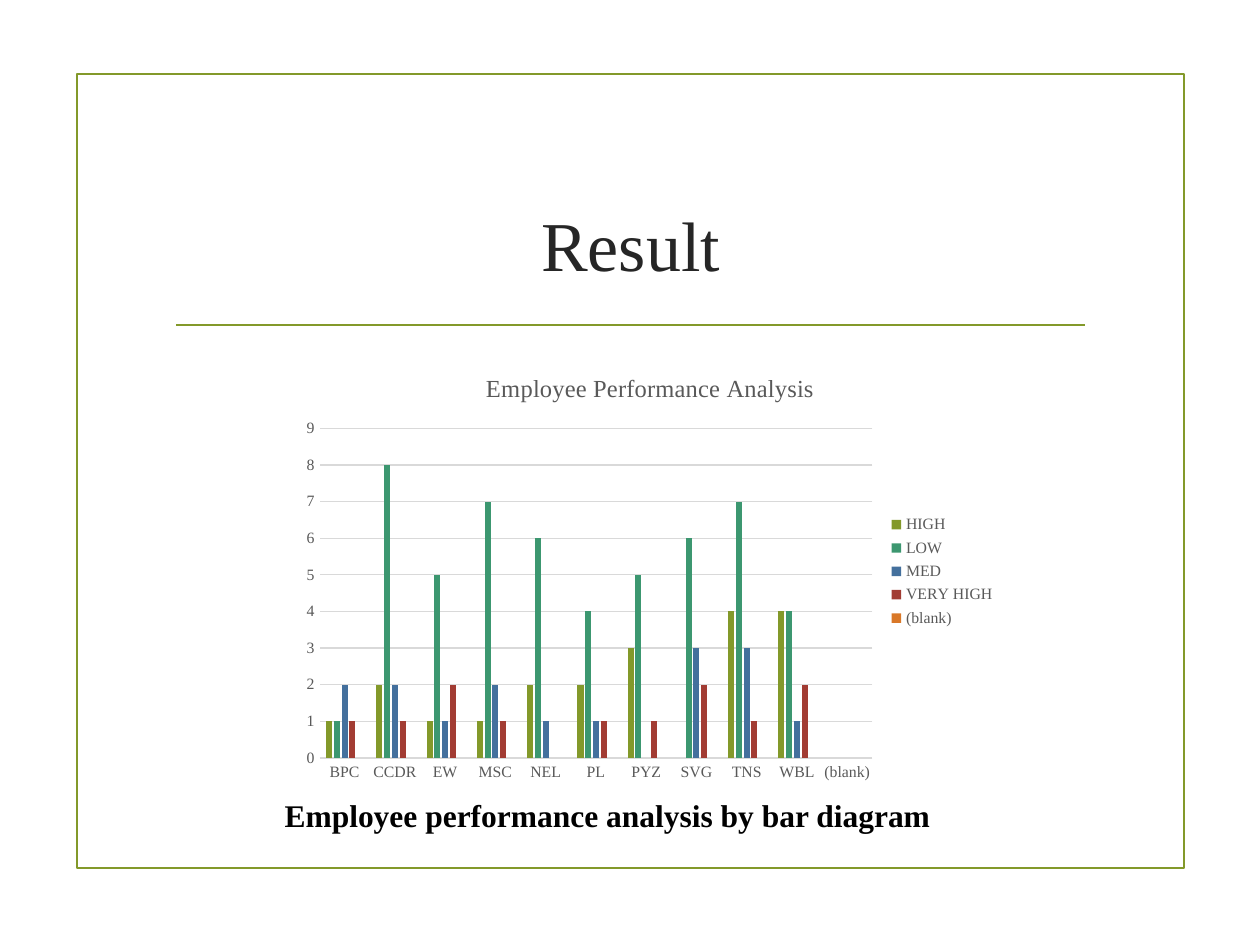
from dataclasses import dataclass
from typing import Optional

from lxml import etree
from pptx import Presentation
from pptx.chart.data import CategoryChartData
from pptx.dml.color import RGBColor
from pptx.enum import chart as ch, shapes, text
from pptx.oxml.ns import qn
from pptx.util import Inches, Pt


@dataclass(frozen=True)
class Theme:
    face: str = "Times New Roman"
    green: str = "83992A"
    dark: str = "262626"
    black: str = "000000"
    gray: str = "595959"
    grid: str = "D9D9D9"
    head: float = 40
    note: float = 18
    title: float = 14
    base: float = 10
    label: float = 9
    rule: float = 1.25
    thin: float = 0.75


@dataclass(frozen=True)
class Box:
    left: float
    top: float
    width: float
    height: float

    def lengths(self) -> tuple:
        return tuple(Inches(v) for v in (self.left, self.top, self.width, self.height))


@dataclass(frozen=True)
class Level:
    name: str
    color: str
    counts: tuple[Optional[int], ...]


THEME = Theme()
UNITS = ("BPC", "CCDR", "EW", "MSC", "NEL", "PL", "PYZ", "SVG", "TNS", "WBL", "(blank)")
LEVELS = (
    Level("HIGH", THEME.green, (1, 2, 1, 1, 2, 2, 3, None, 4, 4, None)),
    Level("LOW", "3C9770", (1, 8, 5, 7, 6, 4, 5, 6, 7, 4, None)),
    Level("MED", "44709D", (2, 2, 1, 2, 1, 1, None, 3, 3, 1, None)),
    Level("VERY HIGH", "A23C33", (1, 1, 2, 1, None, 1, 1, 2, 1, 2, None)),
    Level("(blank)", "D97828", (None,) * len(UNITS)),
)


def set_font(font, size: float, color: str, bold: bool = False) -> None:
    font.name = THEME.face
    font.size = Pt(size)
    font.bold = bold
    font.color.rgb = RGBColor.from_string(color)


def set_line(line, color: str, width: float) -> None:
    line.color.rgb = RGBColor.from_string(color)
    line.width = Pt(width)


def place(shape, box: Box) -> None:
    shape.left, shape.top, shape.width, shape.height = box.lengths()


def add_frame(slide, box: Box) -> None:
    frame = slide.shapes.add_shape(shapes.MSO_SHAPE.RECTANGLE, *box.lengths())
    frame.shadow.inherit = False
    frame.fill.background()
    set_line(frame.line, THEME.green, THEME.rule)


def add_rule(slide, left: float, right: float, top: float) -> None:
    ends = (Inches(v) for v in (left, top, right, top))
    rule = slide.shapes.add_connector(shapes.MSO_CONNECTOR.STRAIGHT, *ends)
    set_line(rule.line, THEME.green, THEME.rule)
    etree.SubElement(rule._element.spPr, qn("a:effectLst"))


def set_title(slide, words: str, box: Box) -> None:
    title = slide.shapes.title
    place(title, box)
    body = title.text_frame
    body.text = words
    body.vertical_anchor = text.MSO_ANCHOR.MIDDLE
    line = body.paragraphs[0]
    line.alignment = text.PP_ALIGN.CENTER
    set_font(line.runs[0].font, THEME.head, THEME.dark)


def add_note(slide, words: str, box: Box) -> None:
    body = slide.shapes.add_textbox(*box.lengths()).text_frame
    body.word_wrap = True
    body.auto_size = text.MSO_AUTO_SIZE.SHAPE_TO_FIT_TEXT
    body.text = words
    set_font(body.paragraphs[0].runs[0].font, THEME.note, THEME.black, bold=True)


def style_axis(axis) -> None:
    axis.major_tick_mark = axis.minor_tick_mark = ch.XL_TICK_MARK.NONE
    set_font(axis.tick_labels.font, THEME.label, THEME.gray)


def add_bars(slide, words: str, box: Box) -> None:
    data = CategoryChartData()
    data.categories = UNITS
    for level in LEVELS:
        data.add_series(level.name, level.counts)
    kind = ch.XL_CHART_TYPE.COLUMN_CLUSTERED
    chart = slide.shapes.add_chart(kind, *box.lengths(), data).chart
    set_font(chart.font, THEME.base, THEME.black)

    # Chart title
    chart.has_title = True
    head = chart.chart_title
    head.text_frame.text = words
    set_font(head.text_frame.paragraphs[0].runs[0].font, THEME.title, THEME.gray)

    # Bars
    plot = chart.plots[0]
    plot.gap_width, plot.overlap = 219, -27
    plot.vary_by_categories = False
    for series, level in zip(plot.series, LEVELS):
        series.format.fill.solid()
        series.format.fill.fore_color.rgb = RGBColor.from_string(level.color)

    # Axes
    across, up = chart.category_axis, chart.value_axis
    for axis in (across, up):
        style_axis(axis)
    set_line(across.format.line, THEME.grid, THEME.thin)
    up.format.line.fill.background()
    up.has_major_gridlines = True
    set_line(up.major_gridlines.format.line, THEME.grid, THEME.thin)

    # Legend
    chart.has_legend = True
    chart.legend.position = ch.XL_LEGEND_POSITION.RIGHT
    chart.legend.include_in_layout = False
    set_font(chart.legend.font, THEME.label, THEME.gray)


def main() -> None:
    deck = Presentation()
    deck.slide_width, deck.slide_height = Inches(10), Inches(7.5)
    slide = deck.slides.add_slide(deck.slide_layouts.get_by_name("Title Only"))

    add_frame(slide, Box(0.61, 0.59, 8.79, 6.3))
    add_rule(slide, 1.4, 8.61, 2.58)
    set_title(slide, "Result", Box(0.92, 1.55, 8.17, 0.77))
    add_note(slide, "Employee performance analysis by bar diagram", Box(2.16, 6.27, 5.68, 0.4))
    add_bars(slide, "Employee Performance Analysis", Box(2.32, 2.8, 5.68, 3.47))
    deck.save("out.pptx")


if __name__ == "__main__":
    main()
